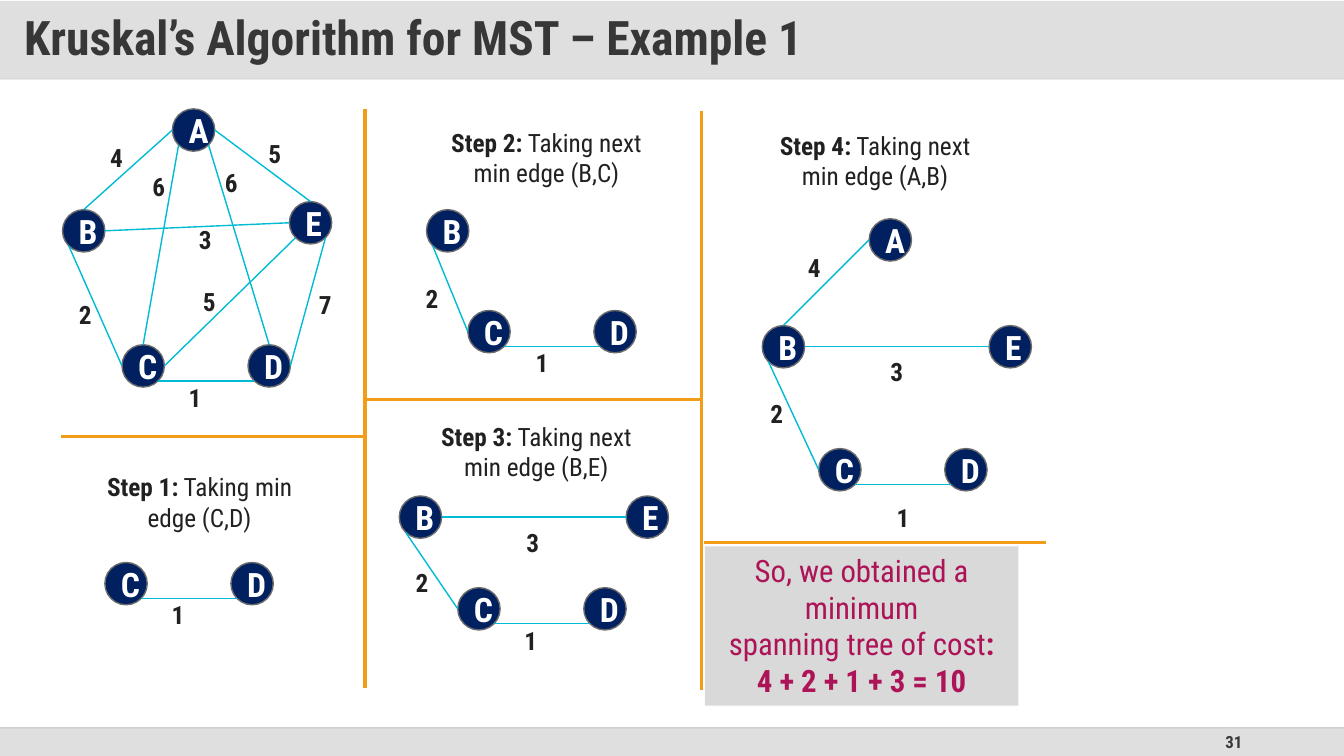
from dataclasses import dataclass
from math import sqrt

from lxml.etree import SubElement
from pptx import Presentation
from pptx.dml.color import RGBColor
from pptx.enum.shapes import MSO_CONNECTOR, MSO_SHAPE
from pptx.enum.text import MSO_ANCHOR, MSO_AUTO_SIZE, PP_ALIGN
from pptx.oxml.ns import qn
from pptx.util import Inches, Pt


@dataclass(frozen=True)
class Theme:
    font: str = "Roboto Condensed"
    ink: str = "212121"
    dark: str = "373737"
    white: str = "FFFFFF"
    node: str = "002060"
    ring: str = "6B6B6B"
    edge: str = "00BBD3"
    rule: str = "F19D19"
    accent: str = "AD1457"
    band: str = "C0C0C0"
    foot: str = "DFDFDF"
    panel: str = "D9D9D9"
    hair: str = "BFBFBF"
    title: int = 34
    letter: int = 24
    result: int = 22
    body: int = 18
    page: int = 12


T = Theme()
WIDE, HIGH = 13.33, 7.5
SIZE = 0.42
DIAG = 1 / sqrt(2)
SITES = {"n": (0, -1), "e": (1, 0), "w": (-1, 0),
         "sw": (-DIAG, DIAG), "se": (DIAG, DIAG)}
# Each edge: weight, then the side of the circle where each end sits
EDGES = {
    "AB": (4, "w", "n"), "BC": (2, "sw", "w"), "CD": (1, "se", "sw"),
    "AE": (5, "e", "n"), "ED": (7, "se", "e"), "AC": (6, "sw", "n"),
    "AD": (6, "se", "n"), "CE": (5, "e", "sw"), "BE": (3, "e", "w"),
}
# Each panel: box, caption centre and top, node corners, weight corners
PANELS = [
    ((0.61, 1.08, 3, 3.25), None, None,
     {"A": (1.1, 0), "B": (0.01, 1), "C": (0.6, 2.34), "D": (1.85, 2.34),
      "E": (2.26, 0.92)},
     {"AB": (0.38, 0.28), "BC": (0.07, 1.84), "CD": (1.16, 2.66),
      "AE": (1.95, 0.24), "ED": (2.45, 1.74), "AC": (0.8, 0.57),
      "AD": (1.52, 0.53), "CE": (1.3, 1.71), "BE": (1.26, 1.1)}),
    ((0.61, 4.33, 3, 2.5), ("Step 1:", " Taking min", "edge (C,D)"), (1.37, 0.3),
     {"C": (0.43, 1.25), "D": (1.68, 1.25)},
     {"CD": (0.99, 1.57)}),
    ((3.62, 1.08, 3.34, 2.88), ("Step 2:", " Taking next", "min edge (B,C)"),
     (1.8, 0.13),
     {"B": (0.61, 1), "C": (1.02, 2), "D": (2.27, 2)},
     {"BC": (0.5, 1.68), "CD": (1.59, 2.32)}),
    ((3.62, 3.96, 3.34, 2.88), ("Step 3:", " Taking next", "min edge (B,E)"),
     (1.7, 0.17),
     {"B": (0.34, 0.96), "C": (0.92, 1.87), "D": (2.17, 1.87), "E": (2.59, 0.96)},
     {"BC": (0.4, 1.62), "CD": (1.48, 2.19), "BE": (1.5, 1.22)}),
    ((6.96, 1.08, 3.41, 4.3), ("Step 4:", " Taking next", "min edge (A,B)"),
     (1.72, 0.16),
     {"A": (1.66, 1.09), "B": (0.6, 2.15), "C": (1.16, 3.37), "D": (2.41, 3.37),
      "E": (2.85, 2.15)},
     {"AB": (0.95, 1.37), "BC": (0.58, 2.82), "CD": (1.83, 3.85),
      "BE": (1.77, 2.41)}),
]
RULES = [(3.62, 1.08, 3.62, 6.83), (6.96, 1.1, 6.96, 6.85),
         (0.61, 4.33, 3.61, 4.33), (3.61, 3.96, 6.96, 3.96),
         (6.98, 5.38, 10.37, 5.38)]


def paint(fill, color, alpha=100):
    fill.solid()
    fill.fore_color.rgb = RGBColor.from_string(color)
    if alpha < 100:
        tone = fill._xPr.find(qn("a:solidFill"))[0]
        SubElement(tone, qn("a:alpha")).set("val", str(alpha * 1000))


def write(frame, lines, size, color, align=PP_ALIGN.CENTER):
    """Fill a text frame; each line is a list of (text, bold) runs."""
    for i, line in enumerate(lines):
        para = frame.add_paragraph() if i else frame.paragraphs[0]
        para.alignment = align
        for text, bold in line:
            run = para.add_run()
            run.text = text
            font = run.font
            font.name, font.size, font.bold = T.font, Pt(size), bold
            font.color.rgb = RGBColor.from_string(color)


def label(slide, box, lines, size, color, wrap=True, align=PP_ALIGN.CENTER):
    frame = slide.shapes.add_textbox(*map(Inches, box)).text_frame
    frame.word_wrap = wrap
    write(frame, lines, size, color, align)
    return frame


def line(slide, ends, color, width=1, alpha=100):
    link = slide.shapes.add_connector(MSO_CONNECTOR.STRAIGHT, *map(Inches, ends))
    link.line.width = Pt(width)
    paint(link.line.fill, color, alpha)
    SubElement(link._element.spPr, qn("a:effectLst"))


def block(slide, kind, box, color):
    shape = slide.shapes.add_shape(kind, *map(Inches, box))
    shape.shadow.inherit = False
    paint(shape.fill, color)
    shape.line.fill.background()
    return shape


def header(slide, box, text):
    title = slide.shapes.title
    title.left, title.top, title.width, title.height = map(Inches, box)
    paint(title.fill, T.band, 50)
    frame = title.text_frame
    frame.auto_size = MSO_AUTO_SIZE.NONE
    frame.vertical_anchor = MSO_ANCHOR.MIDDLE
    frame.margin_left = frame.margin_right = Inches(0.24)
    frame.margin_top = frame.margin_bottom = Inches(0.12)
    write(frame, [[(text, True)]], T.title, T.dark, PP_ALIGN.LEFT)
    frame.paragraphs[0].line_spacing = 0.9
    base = box[1] + box[3] - 0.01
    line(slide, (0, base, WIDE, base), T.panel)


def footer(slide, box, page):
    left, top, wide, high = box
    bar = block(slide, MSO_SHAPE.ROUNDED_RECTANGLE, box, T.foot)
    bar.adjustments[0] = 0
    frame = label(slide, (left + 9.42, top, 3, high), [[(page, True)]],
                  T.page, T.dark, align=PP_ALIGN.RIGHT)
    frame.vertical_anchor = MSO_ANCHOR.MIDDLE
    line(slide, (left, top, left + wide, top), T.hair, alpha=70)


def panel(slide, box, caption, spot, nodes, weights):
    """Draw one step: its caption, its nodes and its weighted edges."""
    left, top = box[:2]
    if caption:
        head, rest, last = caption
        label(slide, (left + spot[0] - 1.2, top + spot[1], 2.4, 0.71),
              [[(head, True), (rest, False)], [(last, False)]], T.body, T.ink)
    for name, (x, y) in nodes.items():
        dot = block(slide, MSO_SHAPE.OVAL, (left + x, top + y, SIZE, SIZE), T.node)
        paint(dot.line.fill, T.ring)
        dot.line.width = Pt(1)
        write(dot.text_frame, [[(name, True)]], T.letter, T.white)
    for pair, (x, y) in weights.items():
        weight, *sides = EDGES[pair]
        ends = []
        for name, side in zip(pair, sides):
            for start, corner, turn in zip((left, top), nodes[name], SITES[side]):
                ends.append(start + corner + SIZE / 2 * (1 + turn))
        line(slide, ends, T.edge)
        label(slide, (left + x, top + y, 0.33, 0.4), [[(str(weight), True)]],
              T.body, T.ink, wrap=False)


def result(slide, box):
    frame = block(slide, MSO_SHAPE.RECTANGLE, box, T.panel).text_frame
    frame.vertical_anchor = MSO_ANCHOR.TOP
    frame.word_wrap = True
    write(frame, [[("So, we obtained a minimum", False)],
                  [("spanning tree of cost", False), (":", True)],
                  [("4 + 2 + 1 + 3 = 10", True)]], T.result, T.accent)


def main():
    deck = Presentation()
    deck.slide_width, deck.slide_height = Inches(WIDE), Inches(HIGH)
    slide = deck.slides.add_slide(deck.slide_layouts[5])
    header(slide, (0, 0.01, WIDE, 0.78), "Kruskal’s Algorithm for MST – Example 1")
    footer(slide, (0, 7.22, WIDE, 0.28), "31")
    for part in PANELS:
        panel(slide, *part)
    for ends in RULES:
        line(slide, ends, T.rule, 2.25)
    result(slide, (6.99, 5.42, 3.11, 1.58))
    deck.save("out.pptx")


if __name__ == "__main__":
    main()
